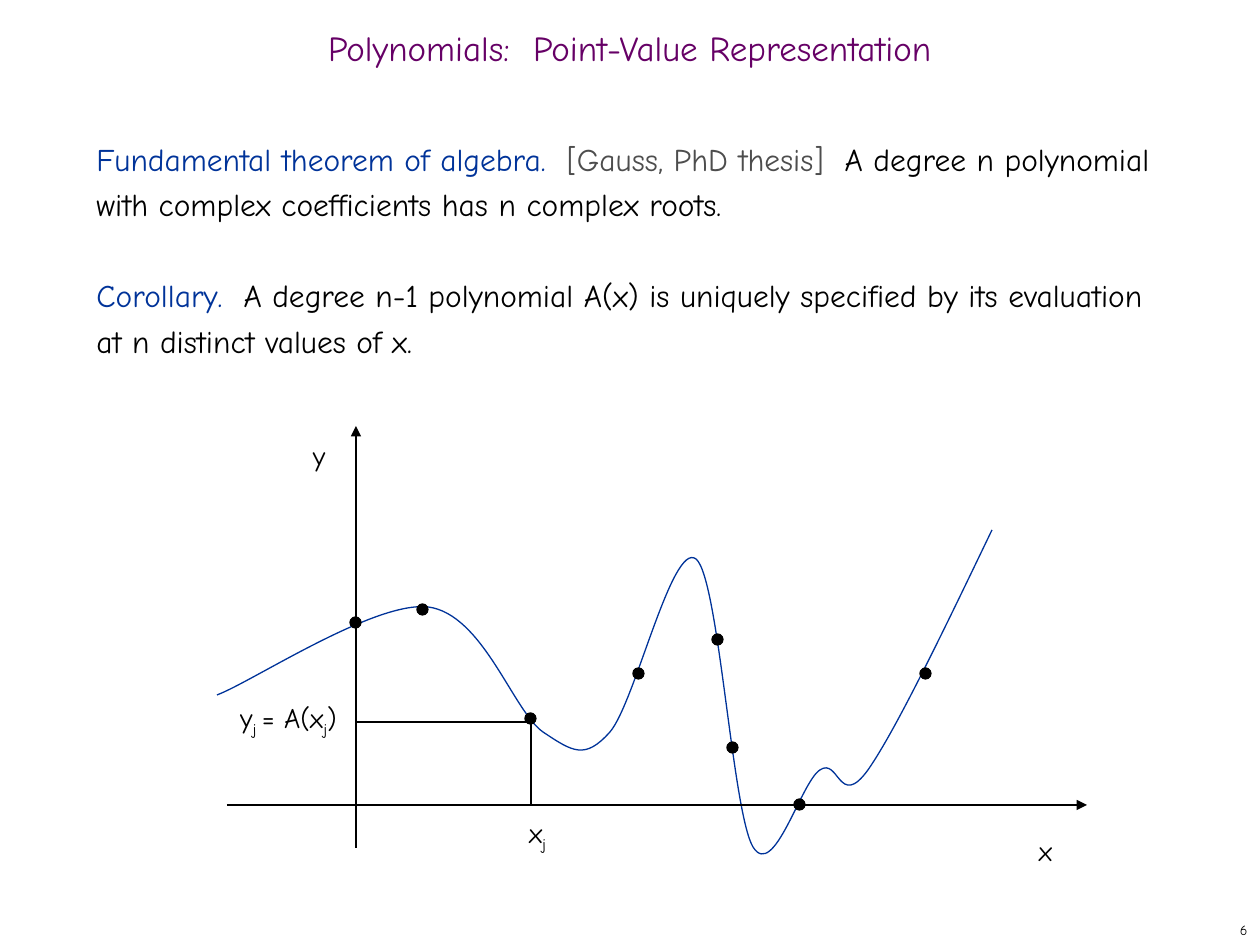
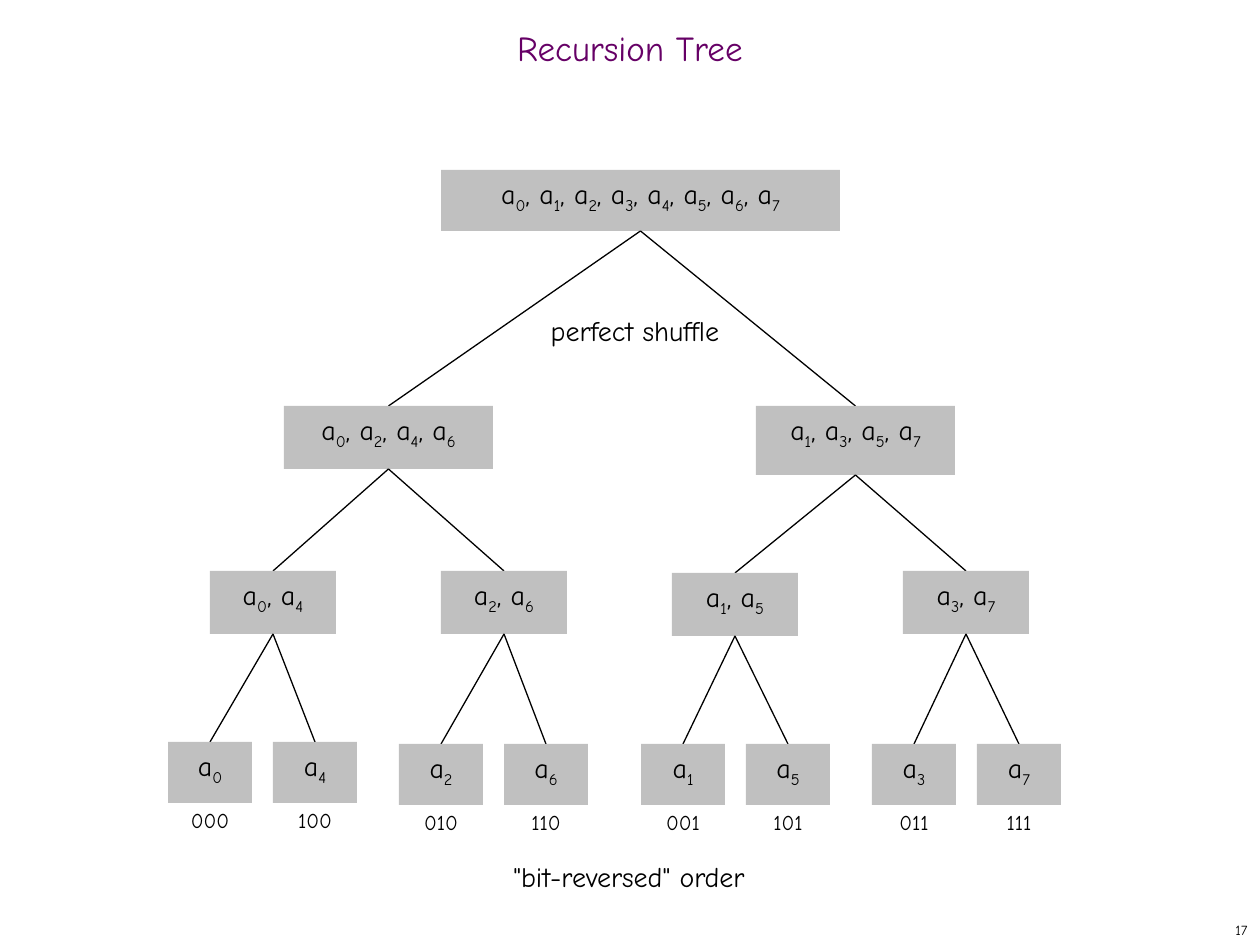
from lxml import etree
from pptx import Presentation
from pptx.dml.color import RGBColor
from pptx.enum.shapes import MSO_CONNECTOR, MSO_SHAPE
from pptx.enum.text import MSO_ANCHOR, PP_ALIGN
from pptx.oxml.ns import qn
from pptx.util import Pt

LEFT, MID, RIGHT = PP_ALIGN.LEFT, PP_ALIGN.CENTER, PP_ALIGN.RIGHT
TOP, MIDDLE = MSO_ANCHOR.TOP, MSO_ANCHOR.MIDDLE
RECT, OVAL = MSO_SHAPE.RECTANGLE, MSO_SHAPE.OVAL
STRAIGHT = MSO_CONNECTOR.STRAIGHT

PX = 914400 / 126
FONT = "Comic Neue"
HEX = {"title": "660066", "blue": "003399", "gray": "4D4D4D",
       "black": "000000", "node": "C0C0C0"}
RGB = {name: RGBColor.from_string(code) for name, code in HEX.items()}


def write(shape, paras, size=16, align=MID, anchor=TOP, wrap=True, space=None, gap=0):
    """Fill a shape with runs of (text, colour); a leading _ marks a subscript."""
    frame = shape.text_frame
    frame.word_wrap = wrap
    frame.vertical_anchor = anchor
    for i, runs in enumerate(paras):
        para = frame.paragraphs[0] if i == 0 else frame.add_paragraph()
        para.alignment = align
        if space:
            para.line_spacing = space
        if i:
            para.space_before = Pt(gap)
        for text, tone in runs:
            run = para.add_run()
            run.text = text.removeprefix("_")
            run.font.name = FONT
            run.font.size = Pt(size)
            run.font.color.rgb = RGB[tone]
            if text.startswith("_"):
                run._r.get_or_add_rPr().set("baseline", "-25000")


def draw(slide, x1, y1, x2, y2, tip=None):
    """Draw a thin black line, with an arrowhead at its end if tip is given."""
    ends = [round(v * PX) for v in (x1, y1, x2, y2)]
    line = slide.shapes.add_connector(STRAIGHT, *ends)
    line.line.color.rgb = RGB["black"]
    line.line.width = Pt(0.75)
    if tip:
        etree.SubElement(line.line._get_or_add_ln(), qn("a:tailEnd"), type=tip)
    etree.SubElement(line._element.spPr, qn("a:effectLst"))


deck = Presentation()
deck.slide_width, deck.slide_height = round(1260 * PX), round(945 * PX)

# Title and page number on each slide
pages = []
for title, num in (("Polynomials:  Point-Value Representation", "6"),
                   ("Recursion Tree", "17")):
    page = deck.slides.add_slide(deck.slide_layouts[6])
    box = page.shapes.add_textbox(*[round(v * PX) for v in (0, 21, 1260, 63)])
    write(box, [[(title, "title")]], 20, anchor=MIDDLE, space=0.7)
    box = page.shapes.add_textbox(*[round(v * PX) for v in (998, 914, 262, 31)])
    write(box, [[(num, "black")]], 8, RIGHT, MIDDLE)
    pages.append(page)
graph, tree = pages

# Theorem and corollary
box = graph.shapes.add_textbox(*[round(v * PX) for v in (84, 126, 1081, 746)])
write(box, [
    [("Fundamental theorem of algebra.  ", "blue"),
     ("[Gauss, PhD thesis]  ", "gray"),
     ("A degree n polynomial with complex coefficients has n complex roots.", "black")],
    [("Corollary.  ", "blue"),
     ("A degree n-1 polynomial A(x) is uniquely specified by its evaluation "
      "at n distinct values of x.", "black")],
], 18, LEFT, space=Pt(26), gap=26)

# Polynomial curve: a start, then three control points for each bend
knots = [(217, 695),
         (252, 682), (374, 601), (428, 607),
         (483, 614), (513, 711), (543, 732),
         (573, 752), (585, 760), (610, 732),
         (635, 703), (672, 541), (696, 559),
         (719, 578), (732, 811), (753, 847),
         (774, 881), (801, 782), (820, 770),
         (839, 757), (839, 810), (868, 770),
         (896, 730), (944, 630), (992, 530)]
pen = graph.shapes.build_freeform(*knots[0], scale=PX)
pen.add_line_segments(knots[1:], close=False)
curve = pen.convert_to_shape()
curve.shadow.inherit = False
curve.fill.background()
curve.line.color.rgb = RGB["blue"]
curve.line.width = Pt(0.75)
steps = list(curve._element.iter(qn("a:lnTo")))
for i in range(0, len(steps), 3):
    bend = etree.Element(qn("a:cubicBezTo"))
    steps[i].addprevious(bend)
    for step in steps[i:i + 3]:
        bend.append(step[0])
        step.getparent().remove(step)

# Axes and guides to the sample point
draw(graph, 356, 848, 356, 426, "triangle")
draw(graph, 227, 805, 1087, 805, "triangle")
draw(graph, 531, 722, 531, 805)
draw(graph, 531, 722, 356, 722)

# Sample points
for x, y in ((633, 668), (525, 713), (350, 617), (920, 668),
             (712, 634), (417, 604), (794, 799), (727, 742)):
    dot = graph.shapes.add_shape(OVAL, *[round(v * PX) for v in (x, y, 11, 11)])
    dot.shadow.inherit = False
    dot.fill.solid()
    dot.fill.fore_color.rgb = RGB["black"]
    dot.line.color.rgb = RGB["black"]
    dot.line.width = Pt(0.75)

# Graph labels
for x, y, w, parts in ((1012, 827, 67, ["x"]),
                       (252, 432, 134, ["y"]),
                       (504, 809, 67, ["x", "_j"]),
                       (209, 694, 159, ["y", "_j ", "= A(x", "_j", ")"])):
    box = graph.shapes.add_textbox(*[round(v * PX) for v in (x, y, w, 50)])
    write(box, [[(part, "black") for part in parts]])

# Tree nodes in heap order: node i hangs from node (i - 1) // 2
nodes = [(441, 170, 399, 61), (284, 406, 209, 63), (756, 406, 199, 69)]
nodes += [(210 + 231 * i, 573 if i == 2 else 571, 126, 63) for i in range(4)]
nodes += [(x, 742 if i < 2 else 744, 84, 61)
          for i, x in enumerate((168, 273, 399, 504, 641, 746, 872, 977))]
sets = [list(range(8))]
for i, (x, y, w, h) in enumerate(nodes):
    if i:
        up = (i - 1) // 2
        sets.append(sets[up][(i - 1) % 2::2])
        px, py, pw, ph = nodes[up]
        draw(tree, px + pw / 2, py + ph, x + w / 2, y)
    node = tree.shapes.add_shape(RECT, *[round(v * PX) for v in (x, y, w, h)])
    node.shadow.inherit = False
    node.fill.solid()
    node.fill.fore_color.rgb = RGB["node"]
    node.line.fill.background()
    runs = []
    for k in sets[i]:
        runs += [(", a" if runs else "a", "black"), (f"_{k}", "black")]
    write(node, [runs])
    if len(sets[i]) == 1:
        box = tree.shapes.add_textbox(*[round(v * PX) for v in (x, y + 59, w, 38)])
        write(box, [[(f"{sets[i][0]:03b}", "black")]], 12, wrap=False)

# Tree captions
for text, x, y, w in (("perfect shuffle", 538, 307, 194),
                      ('"bit-reversed" order', 445, 853, 368)):
    box = tree.shapes.add_textbox(*[round(v * PX) for v in (x, y, w, 47)])
    write(box, [[(text, "black")]], wrap=False)

deck.save("out.pptx")
